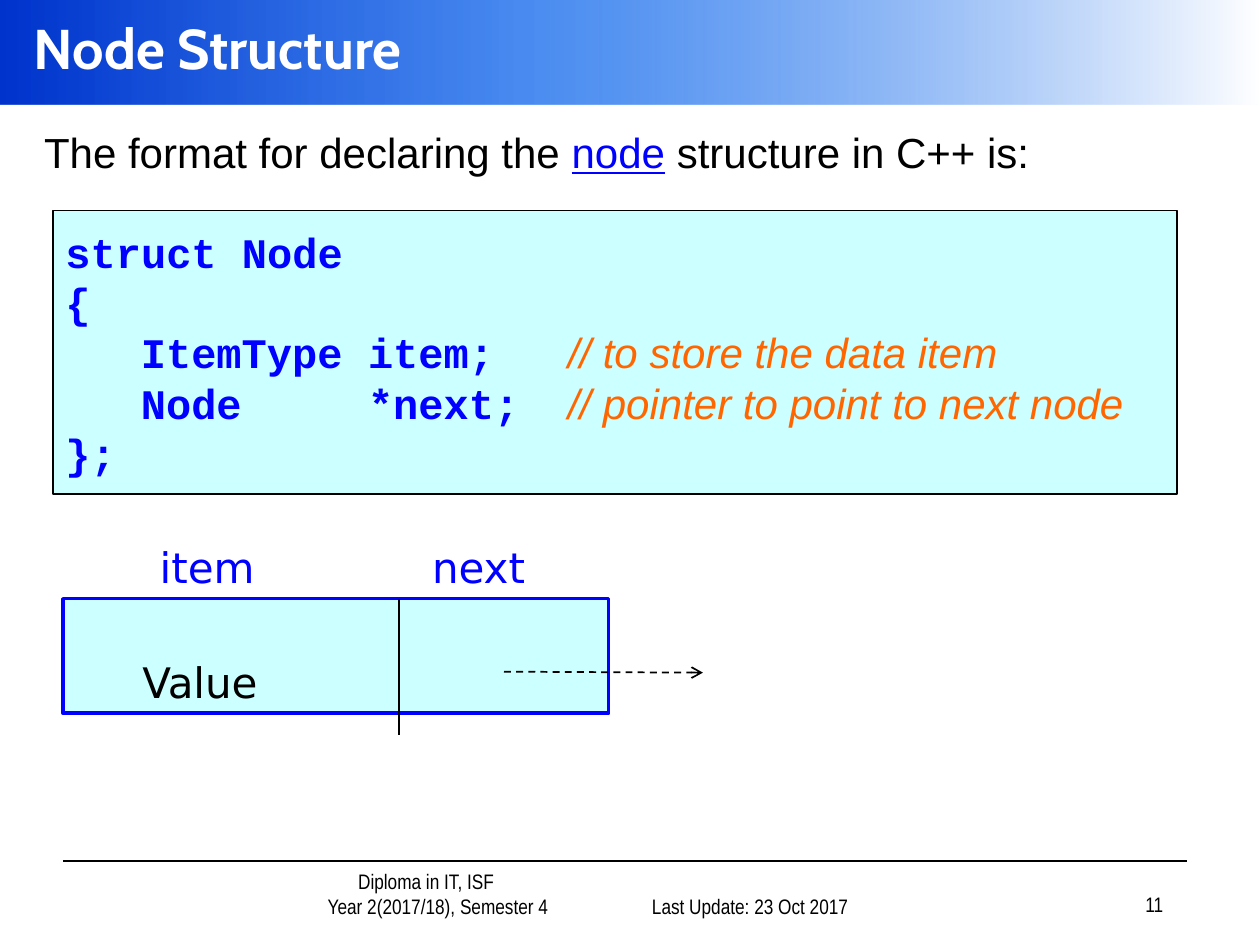
"""Build the node structure slide."""
from lxml import etree
from pptx import Presentation
from pptx.dml.color import RGBColor
from pptx.enum.dml import MSO_LINE
from pptx.enum.shapes import MSO_CONNECTOR, MSO_SHAPE
from pptx.enum.text import MSO_ANCHOR, PP_ALIGN
from pptx.oxml import parse_xml
from pptx.oxml.ns import nsdecls, qn
from pptx.util import Cm, Pt

BLACK = RGBColor(0x00, 0x00, 0x00)
WHITE = RGBColor(0xFF, 0xFF, 0xFF)
BLUE = RGBColor(0x00, 0x00, 0xFF)
ORANGE = RGBColor(0xFF, 0x66, 0x00)
PALE_CYAN = RGBColor(0xCC, 0xFF, 0xFF)
NAVY = RGBColor(0x00, 0x33, 0xCC)
AZURE = RGBColor(0x00, 0x5E, 0xEB)
BANNER_STOPS = [(0, NAVY, 100), (43, AZURE, 70), (100, WHITE, 100)]

TOP, MIDDLE, BOTTOM = MSO_ANCHOR.TOP, MSO_ANCHOR.MIDDLE, MSO_ANCHOR.BOTTOM
LEFT, CENTER, RIGHT = PP_ALIGN.LEFT, PP_ALIGN.CENTER, PP_ALIGN.RIGHT
RECTANGLE, STRAIGHT = MSO_SHAPE.RECTANGLE, MSO_CONNECTOR.STRAIGHT
DASH = MSO_LINE.DASH

CODE_TABS = (1.52, 6.1, 10.13)
CODE_LINES = [
    ("struct Node", ""),
    ("{", ""),
    ("\tItemType\titem;\t", "// to store the data item"),
    ("\tNode\t*next;\t", "// pointer to point to next node"),
    ("};", ""),
]


def style_font(font, name, size, color, bold=False):
    """Set the face, size, colour and weight of a font."""
    font.name, font.size, font.bold = name, Pt(size), bold
    font.color.rgb = color


def add_box(page, left, top, width, height, line_color=None, line_width=0):
    """Add a pale rectangle, or a bare one when no line colour is given."""
    box = page.shapes.add_shape(RECTANGLE, Cm(left), Cm(top), Cm(width), Cm(height))
    box.shadow.inherit = False
    if line_color is None:
        box.line.fill.background()
    else:
        box.fill.solid()
        box.fill.fore_color.rgb = PALE_CYAN
        box.line.color.rgb = line_color
        box.line.width = Pt(line_width)
    return box


def add_line(page, x1, y1, x2, y2):
    """Add a thin black line without a shadow."""
    line = page.shapes.add_connector(STRAIGHT, Cm(x1), Cm(y1), Cm(x2), Cm(y2))
    line.line.color.rgb = BLACK
    line.line.width = Pt(1)
    etree.SubElement(line.element.spPr, qn("a:effectLst"))
    return line


def add_text(page, left, top, width, height, lines, name, size, color,
             align=LEFT, anchor=TOP, indents=(0,)):
    """Add a wrapped text box with one paragraph for each line."""
    box = page.shapes.add_textbox(Cm(left), Cm(top), Cm(width), Cm(height))
    frame = box.text_frame
    frame.word_wrap = True
    frame.vertical_anchor = anchor
    frame.text = "\n".join(lines)
    for para, indent in zip(frame.paragraphs, indents):
        para.alignment = align
        style_font(para.font, name, size, color)
        para._p.get_or_add_pPr().set("marL", str(Cm(indent)))
    return frame


def add_banner(page, left, top, width, height):
    """Place the gradient banner and the slide title over it."""
    banner = add_box(page, left, top, width, height)
    stops = "".join(
        f'<a:gs pos="{pos * 1000}"><a:srgbClr val="{color}">'
        f'<a:alpha val="{alpha * 1000}"/></a:srgbClr></a:gs>'
        for pos, color, alpha in BANNER_STOPS)
    banner.element.spPr.find(qn("a:prstGeom")).addnext(parse_xml(
        f'<a:gradFill {nsdecls("a")}><a:gsLst>{stops}</a:gsLst>'
        '<a:lin ang="0" scaled="0"/></a:gradFill>'))
    title = page.shapes.title
    banner.element.addnext(title.element)
    title.left, title.top = Cm(left + 0.43), Cm(top)
    title.width, title.height = Cm(width - 0.43), Cm(height - 0.21)
    title.text_frame.text = "Node Structure"
    title.text_frame.vertical_anchor = MIDDLE
    para = title.text_frame.paragraphs[0]
    para.alignment = LEFT
    style_font(para.font, "Cabin", 32, WHITE, True)


def add_intro(page, left, top, width, height):
    """Place the introductory sentence."""
    frame = add_text(page, left, top, width, height, [""], "Arial", 24, BLACK)
    para = frame.paragraphs[0]
    para.line_spacing = 0.9
    para.add_run().text = "The format for declaring the "
    keyword = para.add_run()
    keyword.text = "node"
    keyword.font.underline = True
    keyword.font.color.rgb = BLUE
    para.add_run().text = " structure in C++ is:"


def add_code(page, left, top, width, height):
    """Place the code panel with its comments aligned on tab stops."""
    frame = add_box(page, left, top, width, height, BLACK, 0.75).text_frame
    frame.word_wrap = True
    frame.vertical_anchor = MIDDLE
    for index, (code, comment) in enumerate(CODE_LINES):
        para = frame.add_paragraph() if index else frame.paragraphs[0]
        para.alignment = LEFT
        para.line_spacing = Pt(28.8)
        style_font(para.font, "Courier New", 24, BLUE, True)
        tab_list = parse_xml(f'<a:tabLst {nsdecls("a")}/>')
        for stop in CODE_TABS:
            etree.SubElement(tab_list, qn("a:tab"), pos=str(Cm(stop)), algn="l")
        para._p.pPr.find(qn("a:defRPr")).addprevious(tab_list)
        para.add_run().text = code
        if comment:
            span = para.add_run()
            span.text = comment
            style_font(span.font, "Arial", 24, ORANGE)
            span.font.italic = True


def add_node(page, left, top, width, height):
    """Place the node diagram with its labels, divider and pointer."""
    frame = add_box(page, left, top, width, height, BLUE, 2).text_frame
    frame.vertical_anchor = BOTTOM
    frame.text = "Value"
    para = frame.paragraphs[0]
    para.alignment = LEFT
    para._p.get_or_add_pPr().set("marL", str(Cm(1.35)))
    style_font(para.font, "DejaVu Sans", 24, BLACK)
    divider = left + 6.78
    add_line(page, divider, top, divider, top + 2.74)
    for label, offset, label_width in (("item", 1.7, 4.01), ("next", 7.19, 3.38)):
        add_text(page, left + offset, top - 1.27, label_width, 1.27,
                 [label], "DejaVu Sans", 24, BLUE)
    pointer = add_line(page, left + 8.89, top + 1.47, left + 12.9, top + 1.49)
    pointer.line.dash_style = DASH
    etree.SubElement(pointer.line._get_or_add_ln(), qn("a:tailEnd"), type="arrow")


def add_footer(page, left, top, width):
    """Place the footer rule, course, date and page number."""
    add_line(page, left, top, left + width, top)
    course = ["Diploma in IT, ISF", "Year 2(2017/18), Semester 4"]
    for offset, drop, box_width, lines, align, indents in (
            (3, 0.23, 7.37, course, CENTER, (1.27, 1.75)),
            (10.8, 0.23, 5.28, ["Last Update: 23 Oct 2017"], RIGHT, (0,)),
            (17.15, 0.18, 5.28, ["11"], RIGHT, (0,))):
        add_text(page, left + offset, top + drop, box_width, 1.07, lines,
                 "Arial Narrow", 12, BLACK, align, BOTTOM, indents)


def main():
    """Build and save the deck."""
    deck = Presentation()
    deck.slide_width, deck.slide_height = Cm(25.4), Cm(19.05)
    page = deck.slides.add_slide(deck.slide_layouts[5])
    add_banner(page, 0, 0, 25.4, 2.11)
    add_footer(page, 1.27, 17.35, 22.66)
    add_intro(page, 0.64, 2.54, 24.33, 1.7)
    add_node(page, 1.27, 12.07, 11, 2.31)
    add_code(page, 1.07, 4.24, 22.66, 5.72)
    deck.save("out.pptx")


main()
